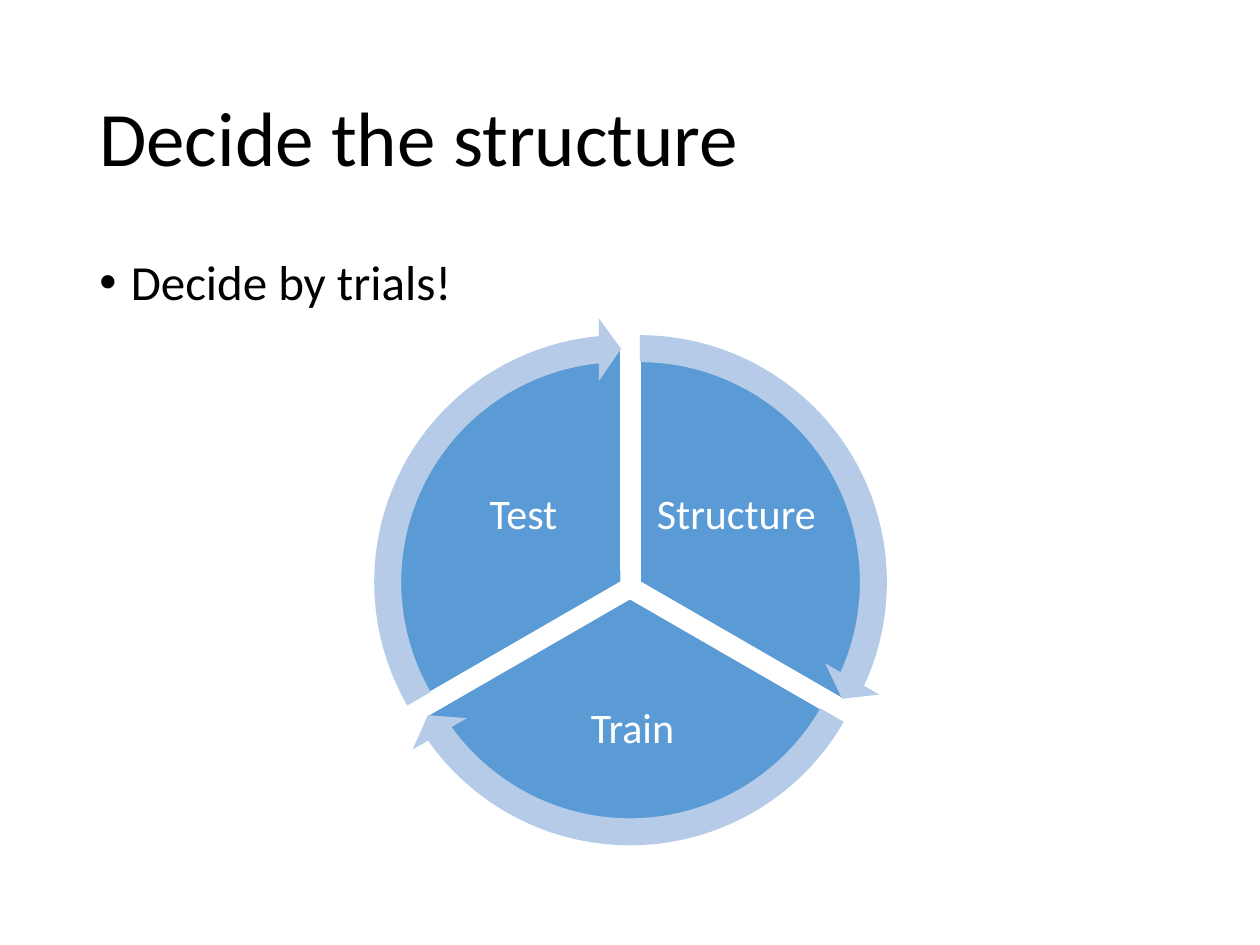
from dataclasses import dataclass

from lxml import etree
from pptx import Presentation
from pptx.dml.color import RGBColor
from pptx.enum.shapes import MSO_SHAPE as Shape
from pptx.enum.text import MSO_ANCHOR as Anchor, PP_ALIGN as Align
from pptx.oxml.ns import qn
from pptx.util import Inches, Pt

BLACK, WHITE, BLUE, PALE_BLUE = "000000", "FFFFFF", "5B9BD5", "B5CBE7"
PIE_SIZE, ARROW_SIZE = 3.73, 4.2
# Angle adjustments are counted in units of 100000/60000 degrees
ARROW_HEAD, ARROW_WIDTH, HEAD_WIDTH = 3.275, 0.051, 0.059


@dataclass
class Stage:
    label: str
    center: tuple[float, float]
    start: float
    end: float
    label_at: tuple[float, float, float, float]


STAGES = [
    Stage("Structure", (5.08, 4.62), 162, 18, (5.18, 3.54, 1.33, 1.11)),
    Stage("Train", (5, 4.75), 18, 90, (4.02, 5.3, 2, 0.98)),
    Stage("Test", (4.93, 4.62), 90, 162, (3.49, 3.54, 1.33, 1.11)),
]


def color(value: str) -> RGBColor:
    return RGBColor.from_string(value)


def apply(target, values: dict) -> None:
    for name, value in values.items():
        setattr(target, name, value)


def add_text(page, text: str, at: tuple, size: float, fill: str,
             frame_format: dict, para_format: dict):
    box = page.shapes.add_textbox(*map(Inches, at))
    apply(box.text_frame, {"word_wrap": True, **frame_format})
    para = box.text_frame.paragraphs[0]
    apply(para, {"line_spacing": 0.9, **para_format})
    span = para.add_run()
    span.text = text
    apply(span.font, {"name": "Calibri", "size": Pt(size)})
    span.font.color.rgb = color(fill)
    return para


def add_bullet(para, indent: float) -> None:
    properties = para._p.get_or_add_pPr()
    properties.set("marL", str(Inches(indent)))
    properties.set("indent", str(Inches(-indent)))
    etree.SubElement(properties, qn("a:buFont")).set("typeface", "Arial")
    etree.SubElement(properties, qn("a:buChar")).set("char", "•")


def add_round(page, kind, center: tuple, size: float, fill: str, adjustments: list):
    left, top = (Inches(middle - size / 2) for middle in center)
    shape = page.shapes.add_shape(kind, left, top, Inches(size), Inches(size))
    shape.shadow.inherit = False
    shape.fill.solid()
    shape.fill.fore_color.rgb = color(fill)
    shape.line.fill.background()
    for index, value in enumerate(adjustments):
        shape.adjustments[index] = value
    return shape


def add_sector(page, stage: Stage) -> None:
    pie = add_round(page, Shape.PIE, stage.center, PIE_SIZE, BLUE,
                    [stage.start, stage.end])
    pie.line.color.rgb = color(WHITE)
    pie.line.width = Pt(1)
    margins = {f"margin_{side}": Inches(0.03)
               for side in ("left", "top", "right", "bottom")}
    add_text(page, stage.label, stage.label_at, 24, WHITE,
             {"vertical_anchor": Anchor.MIDDLE, **margins},
             {"alignment": Align.CENTER})


def add_arrow(page, stage: Stage) -> None:
    add_round(page, Shape.CIRCULAR_ARROW, stage.center, ARROW_SIZE, PALE_BLUE,
              [ARROW_WIDTH, ARROW_HEAD, stage.end - ARROW_HEAD, stage.start, HEAD_WIDTH])


deck = Presentation()
apply(deck, {"slide_width": Inches(10), "slide_height": Inches(7.5)})
page = deck.slides.add_slide(deck.slide_layouts[6])

# Title and bullet
add_text(page, "Decide the structure", (0.69, 0.4, 8.62, 1.45), 44, BLACK,
         {"vertical_anchor": Anchor.MIDDLE}, {})
bullet = add_text(page, "Decide by trials!", (0.69, 2, 8.62, 4.76), 28, BLACK,
                  {}, {"space_before": Pt(10)})
add_bullet(bullet, 0.25)

# Cycle: sectors below, arrows on top
for draw in (add_sector, add_arrow):
    for stage in STAGES:
        draw(page, stage)

deck.save("out.pptx")
